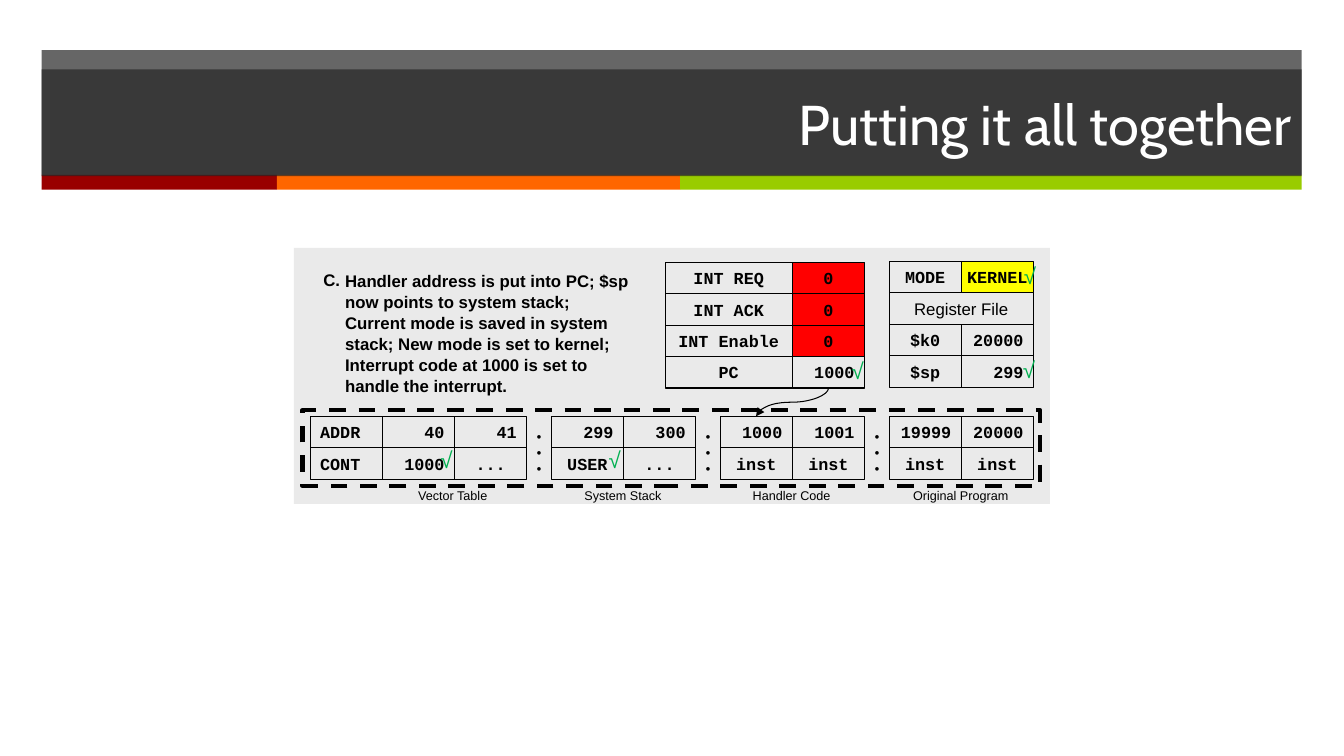
from dataclasses import dataclass

from lxml.etree import SubElement
from pptx import Presentation
from pptx.dml.color import RGBColor as RGB
from pptx.enum.dml import MSO_LINE_DASH_STYLE as DASH
from pptx.enum.shapes import MSO_CONNECTOR as CONN, MSO_SHAPE as SHAPE
from pptx.enum.text import MSO_ANCHOR as ANCHOR, PP_ALIGN as ALIGN
from pptx.oxml.ns import qn
from pptx.util import Pt


@dataclass(frozen=True)
class Theme:
    band: str = "262626"
    red: str = "990000"
    orange: str = "FF6600"
    green: str = "99CC00"
    panel: str = "EAEAEA"
    ink: str = "000000"
    white: str = "FFFFFF"
    flag: str = "FF0000"
    mode: str = "FFFF00"
    tick: str = "00B050"
    title_font: str = "Cabin"
    text_font: str = "Arial"
    code_font: str = "Courier New"
    title: float = 40
    body: float = 12
    label: float = 9
    check: float = 16
    hairline: float = 0.75
    frame: float = 3


T = Theme()
CELL_W, CELL_H = 51.55, 22.5
BLOCK_LEFT, BLOCK_PITCH = 273.1, 120.65
MEMORY_TOP = 297.3
BLOCKS = [
    ("Vector Table", 291.6, 65.5, [["40", "41"], ["1000", "..."]]),
    ("System Stack", 410.4, 69.8, [["299", "300"], ["USER", "..."]]),
    ("Handler Code", 530.6, 69.8, [["1000", "1001"], ["inst", "inst"]]),
    ("Original Program", 645.1, 82.8, [["19999", "20000"], ["inst", "inst"]]),
]
CHECKS = [(601.2, 251.3), (307.4, 315.4), (724.3, 183.6), (427.7, 315.4), (723.6, 250.6)]


def set_fill(sp, color, alpha=None):
    sp.fill.solid()
    sp.fill.fore_color.rgb = RGB.from_string(color)
    if alpha:
        clr = sp.fill._xPr.find(qn("a:solidFill"))[0]
        SubElement(clr, qn("a:alpha")).set("val", str(alpha * 1000))


def set_font(p, size, name=T.text_font, color=T.ink, bold=False):
    p.font.size = Pt(size)
    p.font.name = name
    p.font.bold = bold
    p.font.color.rgb = RGB.from_string(color)


def add_rect(s, left, top, width, height, fill=None, alpha=None, line=None):
    sp = s.shapes.add_shape(SHAPE.RECTANGLE, Pt(left), Pt(top), Pt(width), Pt(height))
    sp.shadow.inherit = False
    if fill:
        set_fill(sp, fill, alpha)
    else:
        sp.fill.background()
    if line:
        sp.line.color.rgb = RGB.from_string(T.ink)
        sp.line.width = Pt(line)
    else:
        sp.line.fill.background()
    return sp


def add_text(s, left, top, width, height, lines, size, wrap=True, align=ALIGN.LEFT, **font):
    tf = s.shapes.add_textbox(Pt(left), Pt(top), Pt(width), Pt(height)).text_frame
    tf.word_wrap = wrap
    tf.text = "\n".join(lines)
    for p in tf.paragraphs:
        p.alignment = align
        set_font(p, size, **font)
    return tf


def add_cell(s, left, top, width, text, align, fill=None, name=T.code_font, bold=True):
    sp = add_rect(s, left, top, width, CELL_H, fill, line=T.hairline)
    tf = sp.text_frame
    tf.word_wrap = False
    tf.vertical_anchor = ANCHOR.MIDDLE
    p = tf.paragraphs[0]
    p.text = text
    p.alignment = align
    set_font(p, T.body, name, bold=bold)


def add_grid(s, left, top, rows, width=CELL_W, align=None, fill=None):
    for i, row in enumerate(rows):
        for j, text in enumerate(row):
            side = ALIGN.RIGHT if text.isdigit() else ALIGN.CENTER
            add_cell(s, left + j * width, top + i * CELL_H, width, text, align or side, fill)


def add_title(s):
    add_rect(s, 29.8, 35.8, 900, 89.2, T.band, 70)
    for left, width, color in [(29.8, 168, T.red), (197.8, 288, T.orange), (485.8, 444, T.green)]:
        add_rect(s, left, 125, width, 10.5, color)
    sp = s.shapes.title
    s.shapes._spTree.append(sp._element)
    sp.left, sp.top, sp.width, sp.height = Pt(29.8), Pt(49.5), Pt(900), Pt(76.3)
    set_fill(sp, T.band, 70)
    tf = sp.text_frame
    tf.text = "Putting it all together"
    tf.vertical_anchor = ANCHOR.MIDDLE
    p = tf.paragraphs[0]
    p.alignment = ALIGN.RIGHT
    set_font(p, T.title, T.title_font, T.white)


def add_step(s):
    add_text(s, 223.9, 189.4, 31, 82.8, ["C."], T.body, bold=True)
    tf = add_text(s, 239.4, 189.4, 217.4, 82.8, [
        "Handler address is put into PC; $sp now points to system stack; ",
        "Current mode is saved in system stack; New mode is set to kernel; "
        "Interrupt code at 1000 is set to handle the interrupt.",
    ], T.body, bold=True)
    for p in tf.paragraphs:
        p.line_spacing = 1.04


def add_registers(s):
    signals_left, signals_top, signal_w = 475.2, 187.2, 90.7
    values_left = signals_left + signal_w
    add_grid(s, signals_left, signals_top,
             [["INT REQ"], ["INT ACK"], ["INT Enable"], ["PC"]], signal_w)
    add_grid(s, values_left, signals_top, [["0"]] * 3, align=ALIGN.CENTER, fill=T.flag)
    add_grid(s, values_left, signals_top + 3 * CELL_H, [["1000"]])

    left, top = BLOCK_LEFT + 3 * BLOCK_PITCH, 186.5
    add_grid(s, left, top, [["MODE"]])
    add_grid(s, left + CELL_W, top, [["KERNEL"]], fill=T.mode)
    add_cell(s, left, top + CELL_H, 2 * CELL_W, "Register File", ALIGN.CENTER,
             name=T.text_font, bold=False)
    add_grid(s, left, top + 2 * CELL_H, [["$k0", "20000"], ["$sp", "299"]])


def add_memory(s):
    add_grid(s, BLOCK_LEFT - CELL_W, MEMORY_TOP, [["ADDR"], ["CONT"]], align=ALIGN.LEFT)
    for i, (label, label_left, label_w, rows) in enumerate(BLOCKS):
        left = BLOCK_LEFT + i * BLOCK_PITCH
        add_grid(s, left, MEMORY_TOP, rows)
        add_text(s, label_left, 344.9, label_w, 18, [label], T.label, wrap=False)
        if i < len(BLOCKS) - 1:
            tf = add_text(s, left + 2 * CELL_W - 0.4, 302.4, 18, 40.3, ["•"] * 3, T.label,
                          wrap=False, align=ALIGN.RIGHT, bold=True)
            for p in tf.paragraphs:
                p.line_spacing = 1.05
    add_rect(s, 216, 293, 527, 54, line=T.frame).line.dash_style = DASH.DASH


def add_pc_arrow(s):
    c = s.shapes.add_connector(CONN.CURVE, Pt(555.8), Pt(261.4), Pt(576), Pt(313.2))
    c.line.color.rgb = RGB.from_string(T.ink)
    c.line.width = Pt(T.hairline)
    spPr = c._element.spPr
    spPr.find(qn("a:xfrm")).set("rot", "5400000")
    SubElement(c.line._get_or_add_ln(), qn("a:tailEnd")).set("type", "triangle")
    SubElement(spPr, qn("a:effectLst"))


def main():
    prs = Presentation()
    prs.slide_width, prs.slide_height = Pt(960), Pt(540)
    s = prs.slides.add_slide(prs.slide_layouts[5])
    add_title(s)
    add_rect(s, 210, 177.1, 540, 182.9, T.panel)
    add_step(s)
    add_registers(s)
    add_memory(s)
    add_pc_arrow(s)
    for left, top in CHECKS:
        add_text(s, left, top, 23, 26.6, ["√"], T.check, color=T.tick)
    prs.save("out.pptx")


main()
